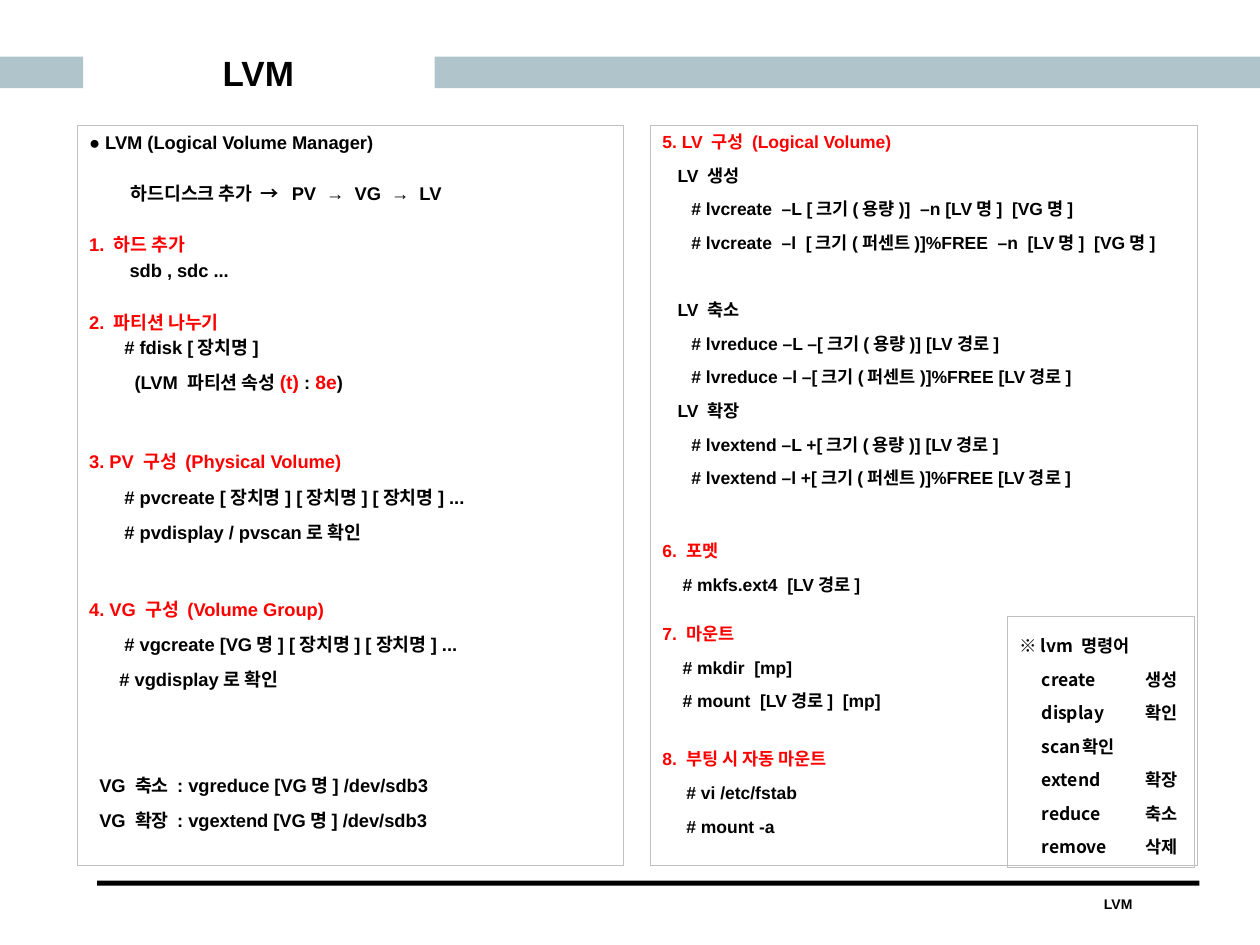
"""Build the LVM summary slide."""
from dataclasses import dataclass

import pptx
import pptx.dml.color
import pptx.enum.shapes
import pptx.enum.text
import pptx.oxml.ns
import pptx.util
from lxml import etree
from pptx.util import Inches, Pt

BLACK = pptx.dml.color.RGBColor(0x00, 0x00, 0x00)
RED = pptx.dml.color.RGBColor(0xFF, 0x00, 0x00)
BAND = pptx.dml.color.RGBColor(0xAF, 0xC5, 0xCB)
SILVER = pptx.dml.color.RGBColor(0xC0, 0xC0, 0xC0)
GRAY = pptx.dml.color.RGBColor(0xBF, 0xBF, 0xBF)
LATIN = "Arial"
KOREAN = "Noto Sans CJK KR"


@dataclass(frozen=True)
class Box:
    left: float
    top: float
    width: float
    height: float

    def lengths(self) -> tuple:
        return tuple(Inches(v) for v in (self.left, self.top, self.width, self.height))


@dataclass(frozen=True)
class Line:
    text: str
    indent: float = 0
    gap: float = 0
    tall: bool = True
    color: pptx.dml.color.RGBColor = BLACK
    accents: tuple = ()


@dataclass(frozen=True)
class Panel:
    box: Box
    border: pptx.dml.color.RGBColor
    size: float
    short_height: float
    tall_height: float
    lines: tuple
    font: str = LATIN


def heading(text: str, gap: float = 0, tall: bool = False) -> Line:
    return Line(text, gap=gap, tall=tall, color=RED)


BARS = (
    (Box(0, 0.45, 0.66, 0.25), BAND),
    (Box(3.45, 0.45, 6.55, 0.25), BAND),
    (Box(0.77, 6.99, 8.75, 0.04), BLACK),
)

SETUP = Panel(Box(0.61, 0.99, 4.34, 5.88), SILVER, 10.5, 12.6, 20.1, (
    Line("● LVM (Logical Volume Manager)", tall=False),
    Line("하드디스크 추가  →  PV  →  VG  →  LV", 0.33, 16.7, False),
    heading("1. 하드 추가", 16.7),
    Line("sdb , sdc ...", 0.32, 2.1, False),
    heading("2. 파티션 나누기", 16.8),
    Line("# fdisk [장치명]", 0.28, 2.1, False),
    Line("(LVM 파티션 속성(t) : 8e)", 0.36, accents=("(t)", "8e")),
    heading("3. PV 구성 (Physical Volume)", 32.4),
    Line("# pvcreate [장치명] [장치명] [장치명] ...", 0.28),
    Line("# pvdisplay / pvscan로 확인", 0.28),
    heading("4. VG 구성 (Volume Group)", 31.4),
    Line("# vgcreate [VG명] [장치명] [장치명] ...", 0.28),
    Line("# vgdisplay로 확인", 0.24),
    Line("VG 축소 : vgreduce [VG명] /dev/sdb3", 0.08, 40.3),
    Line("VG 확장 : vgextend [VG명] /dev/sdb3", 0.08),
))

VOLUMES = Panel(Box(5.16, 0.99, 4.34, 5.88), SILVER, 10, 12, 19.25, (
    heading("5. LV 구성 (Logical Volume)"),
    Line("LV 생성", 0.12),
    Line("# lvcreate  –L [크기(용량)]  –n [LV명]  [VG명]", 0.23),
    Line("# lvcreate  –l  [크기(퍼센트)]%FREE  –n  [LV명]  [VG명]", 0.23),
    Line("LV 축소", 0.12, 19),
    Line("# lvreduce –L –[크기(용량)] [LV경로]", 0.23),
    Line("# lvreduce –l –[크기(퍼센트)]%FREE [LV경로]", 0.23),
    Line("LV 확장", 0.12),
    Line("# lvextend –L +[크기(용량)] [LV경로]", 0.23),
    Line("# lvextend –l +[크기(퍼센트)]%FREE [LV경로]", 0.23),
    heading("6. 포멧", 29.7),
    Line("# mkfs.ext4  [LV경로]", 0.16),
    heading("7. 마운트", 16),
    Line("# mkdir  [mp]", 0.16),
    Line("# mount  [LV경로]  [mp]", 0.16),
    heading("8. 부팅 시 자동 마운트", 13.9, True),
    Line("# vi /etc/fstab", 0.19),
    Line("# mount -a", 0.19),
))

COMMANDS = (("create", "생성"), ("display", "확인"), ("scan", "확인"),
            ("extend", "확장"), ("reduce", "축소"), ("remove", "삭제"))

COMMAND_PANEL = Panel(
    Box(7.99, 4.89, 1.49, 1.99), GRAY, 10, 12, 19.2,
    (Line("※ lvm 명령어"), *(Line(f"{name}\t{meaning}", 0.18) for name, meaning in COMMANDS)),
    KOREAN)


def set_font(font, size: float, color, name: str = LATIN) -> None:
    font.name, font.size, font.bold = name, Pt(size), True
    font.color.rgb = color


def add_rectangle(slide, box: Box):
    shape = slide.shapes.add_shape(pptx.enum.shapes.MSO_SHAPE.RECTANGLE, *box.lengths())
    shape.shadow.inherit = False
    return shape


def add_bar(slide, box: Box, color) -> None:
    shape = add_rectangle(slide, box)
    shape.fill.solid()
    shape.fill.fore_color.rgb = color
    shape.line.fill.background()


def split_accents(line: Line) -> list:
    parts, rest = [], line.text
    for accent in line.accents:
        before, rest = rest.split(accent, 1)
        parts += [(before, False), (accent, True)]
    return parts + [(rest, False)]


def write_line(paragraph, line: Line, panel: Panel) -> None:
    paragraph.alignment = pptx.enum.text.PP_ALIGN.LEFT
    paragraph.line_spacing = Pt(panel.tall_height if line.tall else panel.short_height)
    paragraph.space_before = Pt(line.gap)
    set_font(paragraph.font, panel.size, line.color, panel.font)
    properties = paragraph._p.get_or_add_pPr()
    properties.set("marL", "0")
    properties.set("indent", str(Inches(line.indent)))
    defaults = properties.find(pptx.oxml.ns.qn("a:defRPr"))
    latin = defaults.find(pptx.oxml.ns.qn("a:latin"))
    east_asian = etree.Element(pptx.oxml.ns.qn("a:ea"), typeface=KOREAN)
    latin.addnext(east_asian)
    for text, accented in split_accents(line):
        run = paragraph.add_run()
        run.text = text
        if accented:
            run.font.size, run.font.color.rgb = Pt(11), RED


def add_panel(slide, panel: Panel) -> None:
    shape = add_rectangle(slide, panel.box)
    shape.fill.background()
    shape.line.color.rgb, shape.line.width = panel.border, Pt(0.25)
    frame = shape.text_frame
    frame.word_wrap = True
    frame.vertical_anchor = pptx.enum.text.MSO_ANCHOR.TOP
    frame.margin_right = 0
    for index, line in enumerate(panel.lines):
        write_line(frame.add_paragraph() if index else frame.paragraphs[0], line, panel)


def write_label(shape, text: str, size: float) -> None:
    frame = shape.text_frame
    frame.word_wrap = True
    frame.auto_size = pptx.enum.text.MSO_AUTO_SIZE.NONE
    frame.text = text
    paragraph = frame.paragraphs[0]
    paragraph.alignment = pptx.enum.text.PP_ALIGN.CENTER
    set_font(paragraph.font, size, BLACK)


def main() -> None:
    presentation = pptx.Presentation()
    presentation.slide_width, presentation.slide_height = Inches(10), Inches(7.5)
    slide = presentation.slides.add_slide(presentation.slide_layouts[5])
    title = slide.shapes.title
    title.left, title.top, title.width, title.height = Box(0.75, 0.36, 2.6, 0.43).lengths()
    write_label(title, "LVM", 20)
    title.text_frame.vertical_anchor = pptx.enum.text.MSO_ANCHOR.MIDDLE
    for box, color in BARS:
        add_bar(slide, box, color)
    footer = slide.shapes.add_textbox(*Box(8.23, 7.06, 1.29, 0.24).lengths())
    write_label(footer, "LVM", 8)
    for panel in (SETUP, VOLUMES, COMMAND_PANEL):
        add_panel(slide, panel)
    presentation.save("out.pptx")


if __name__ == "__main__":
    main()
